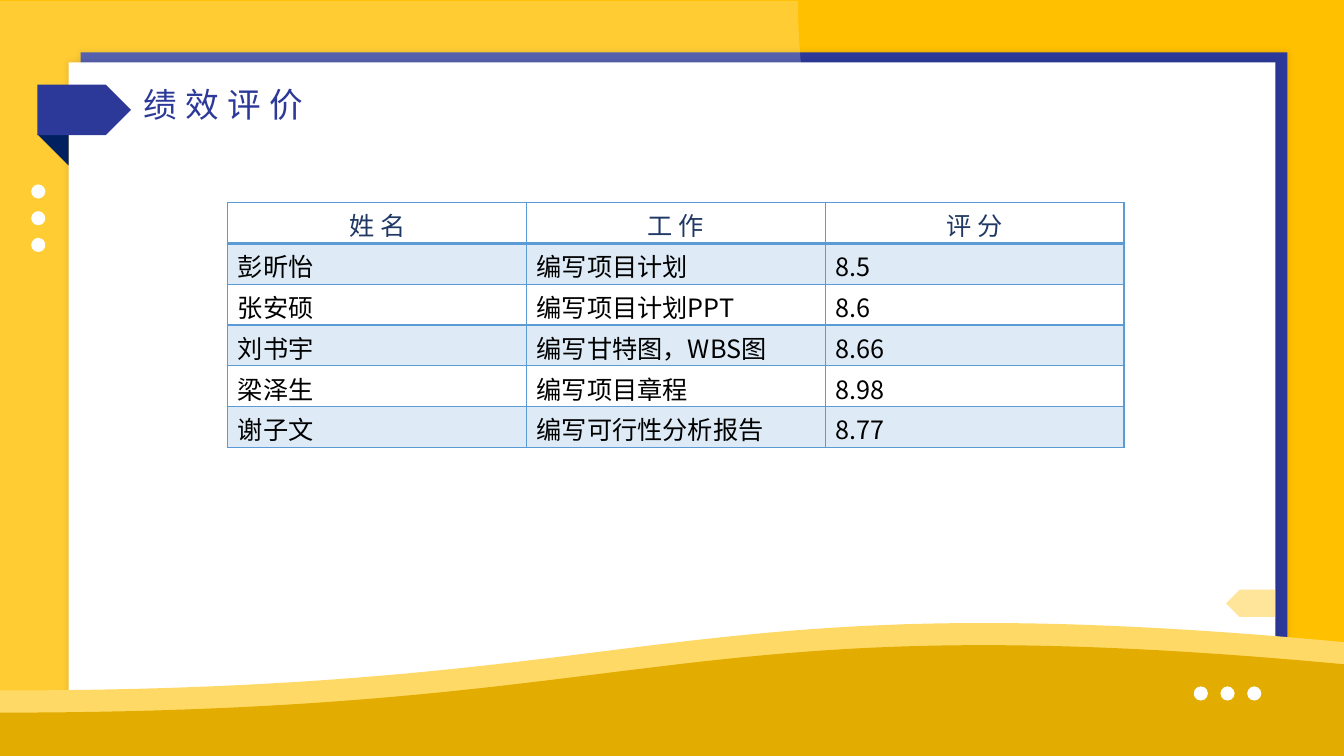
from lxml.etree import SubElement
from pptx import Presentation
from pptx.dml.color import RGBColor
from pptx.enum.shapes import MSO_SHAPE as SHP
from pptx.enum.text import MSO_ANCHOR, MSO_AUTO_SIZE, PP_ALIGN
from pptx.oxml.ns import qn
from pptx.util import Inches, Pt

W, H = 13.33, 7.5
FONT = "Noto Sans CJK SC"
BLUE, GOLD, WHITE, GRID = "2C3998", "FFC000", "FFFFFF", "5B9BD5"

prs = Presentation()
prs.slide_width, prs.slide_height = Inches(W), Inches(H)
slide = prs.slides.add_slide(prs.slide_layouts[5])


def paint(fill, color, alpha=100):
    fill.solid()
    fill.fore_color.rgb = RGBColor.from_string(color)
    if alpha < 100:
        clr = fill._xPr.find(qn("a:solidFill") + "/" + qn("a:srgbClr"))
        SubElement(clr, qn("a:alpha"), val=str(alpha * 1000))


def draw(kind, x, y, w, h, color, alpha=100, rotation=0):
    s = slide.shapes.add_shape(kind, Inches(x), Inches(y), Inches(w), Inches(h))
    s.shadow.inherit = False
    s.line.fill.background()
    s.rotation = rotation
    paint(s.fill, color, alpha)
    return s


# Background, blue back panel, pale sweep and white page
paint(slide.background.fill, GOLD)
back = draw(SHP.RECTANGLE, 0.8, 0.52, 11.97, 6.27, BLUE)
draw(SHP.FLOWCHART_DOCUMENT, 1.19, -1.18, 7.49, 9.87, WHITE, 20, 270)
page = draw(SHP.RECTANGLE, 0.68, 0.62, 11.97, 6.27, WHITE)
for panel in (back, page):
    effects = panel._element.spPr.find(qn("a:effectLst"))
    glow = SubElement(effects, qn("a:outerShdw"), blurRad=str(Pt(5)), dist="0", dir="0")
    clr = SubElement(glow, qn("a:srgbClr"), val="000000")
    SubElement(clr, qn("a:alpha"), val="10000")

# Waves along the bottom: cubic curves sampled in equal steps
STEPS = 60
for top, color in ((6.85, "FFD966"), (7.07, "E2AC00")):
    xs, ys = (0, W / 2, W / 2, W), (top, top, top - 1.1, top - 0.48)
    curve = []
    for i in range(STEPS + 1):
        t = i / STEPS
        weights = ((1 - t) ** 3, 3 * t * (1 - t) ** 2, 3 * t ** 2 * (1 - t), t ** 3)
        curve.append((Inches(sum(a * b for a, b in zip(weights, xs))),
                      Inches(sum(a * b for a, b in zip(weights, ys)))))
    outline = slide.shapes.build_freeform(0, Inches(H))
    outline.add_line_segments(curve + [(Inches(W), Inches(H))], close=True)
    wave = outline.convert_to_shape()
    wave.shadow.inherit = False
    wave.line.fill.background()
    paint(wave.fill, color)

# Two rows of three dots
for i in range(3):
    draw(SHP.OVAL, 11.84 + i * 0.265, 6.81, 0.14, 0.14, WHITE)
    draw(SHP.OVAL, 0.31, 1.83 + i * 0.265, 0.14, 0.14, WHITE)

# Ribbon with its fold, and the tab at the right edge
draw(SHP.RIGHT_TRIANGLE, 0.37, 1.33, 0.31, 0.31, "002060", rotation=180)
draw(SHP.PENTAGON, 0.37, 0.84, 0.93, 0.5, BLUE)
draw(SHP.PENTAGON, 12.16, 5.85, 0.49, 0.27, GOLD, 40, 180)

# Title, brought in front of the page
title = slide.shapes.title
title.left, title.top, title.width, title.height = map(Inches, (1.32, 0.78, 1.88, 0.5))
slide.shapes._spTree.append(title._element)
tf = title.text_frame
tf.text = "绩效评价"
tf.word_wrap = False
tf.auto_size = MSO_AUTO_SIZE.SHAPE_TO_FIT_TEXT
tf.vertical_anchor = MSO_ANCHOR.TOP
p = tf.paragraphs[0]
p.alignment = PP_ALIGN.LEFT
p.runs[0].font._element.set("spc", "600")
styled = [(p.runs[0], 24, BLUE)]

# Score table
rows = [
    ("姓 名", "工 作", "评 分"),
    ("彭昕怡", "编写项目计划", "8.5"),
    ("张安硕", "编写项目计划PPT", "8.6"),
    ("刘书宇", "编写甘特图，WBS图", "8.66"),
    ("梁泽生", "编写项目章程", "8.98"),
    ("谢子文", "编写可行性分析报告", "8.77"),
]
table = slide.shapes.add_table(len(rows), 3, Inches(2.26), Inches(2.01),
                               Inches(8.89), Inches(2.43)).table
table.first_row = table.horz_banding = False
for r, row in enumerate(rows):
    for c, text in enumerate(row):
        cell = table.cell(r, c)
        cell.margin_top, cell.margin_bottom = Inches(0.04), 0
        cell.text_frame.text = text
        p = cell.text_frame.paragraphs[0]
        p.alignment = PP_ALIGN.LEFT if r else PP_ALIGN.CENTER
        styled.append((p.runs[0], 18, "000000" if r else "203864"))
        tcPr = cell._tc.get_or_add_tcPr()
        for side in ("lnL", "lnR", "lnT", "lnB"):
            heavy = (r, side) in ((0, "lnB"), (1, "lnT"))
            ln = SubElement(tcPr, qn("a:" + side), w=str(Pt(2 if heavy else 1)))
            SubElement(SubElement(ln, qn("a:solidFill")), qn("a:srgbClr"), val=GRID)
        if r % 2:
            paint(cell.fill, GRID, 20)
        else:
            cell.fill.background()

# Type for the title and every cell
for run, size, color in styled:
    run.font.size = Pt(size)
    run.font.bold = False
    run.font.name = FONT
    paint(run.font.fill, color)
    SubElement(run.font._element, qn("a:ea"), typeface=FONT)

prs.save("out.pptx")
